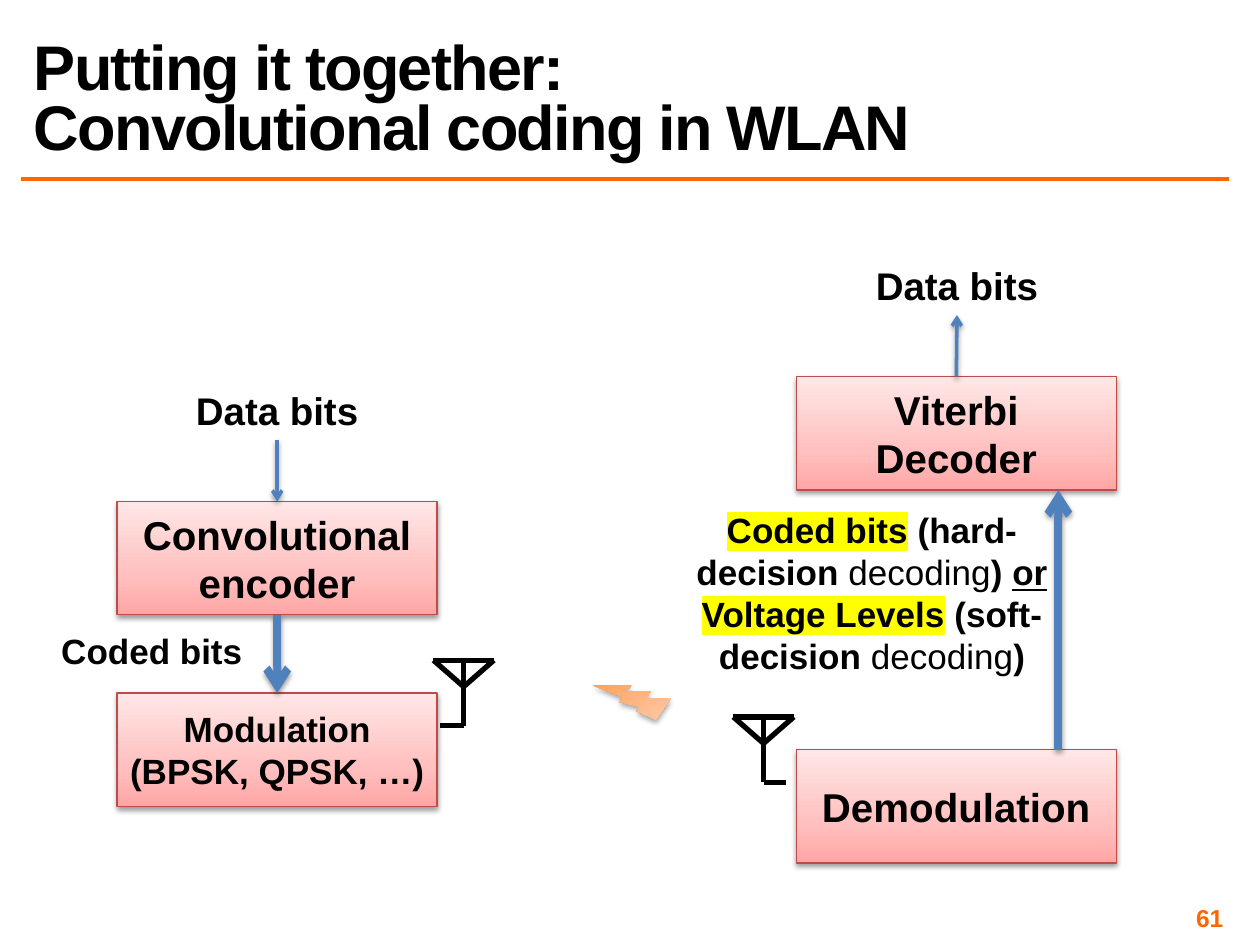
from dataclasses import dataclass

from lxml import etree
from pptx import Presentation, util as u
from pptx.dml.color import RGBColor
from pptx.enum import shapes, text
from pptx.oxml.ns import qn

COLORS = {"ink": "000000", "accent": "FF6600", "arrow": "4F81BD",
          "border": "BF4C48", "marker": "FFFF00"}
PINK = [(0, "FFA6A5"), (35, "FFC0BF"), (100, "FFE7E7")]
ORANGE = [(0, "FF953E"), (100, "FFD2BD")]
FONT = "Arial"
COLS, ROWS = 100, 75  # square grid over the slide
BOX_W, BOX_H = 25.4, 9
TX_X, RX_X = 9.3, 63.2  # left edges of the sender and receiver stacks
TOP, BOTTOM = 0, 2  # connection sites of a rectangle

prs = Presentation()
prs.slide_width, prs.slide_height = u.Inches(10), u.Inches(7.5)
slide = prs.slides.add_slide(prs.slide_layouts[6])


@dataclass
class Box:
    label: str
    x: float
    y: float
    size: float = 23


@dataclass
class Run:
    text: str
    bold: bool = True
    underline: bool = False
    marked: bool = False


def col(n: float) -> int:
    return round(prs.slide_width * n / COLS)


def row(n: float) -> int:
    return round(prs.slide_height * n / ROWS)


def rgb(name: str) -> RGBColor:
    return RGBColor.from_string(COLORS[name])


def add_color(parent, hex_value: str):
    return etree.SubElement(parent, qn("a:srgbClr"), val=hex_value)


def set_shadow(spPr, alpha=None, dist=1.6) -> None:
    """Give the shape a soft shadow below, or none if alpha is None."""
    for old in spPr.findall(qn("a:effectLst")):
        spPr.remove(old)
    effects = etree.SubElement(spPr, qn("a:effectLst"))
    if alpha:
        shadow = etree.SubElement(
            effects, qn("a:outerShdw"), blurRad=str(u.Pt(3.1)),
            dist=str(u.Pt(dist)), dir="5400000", rotWithShape="0")
        color = add_color(shadow, COLORS["ink"])
        etree.SubElement(color, qn("a:alpha"), val=str(alpha * 1000))


def set_gradient(sp, stops) -> None:
    sp.fill.gradient()
    sp.fill.gradient_angle = 90
    stop_list = sp._element.spPr.find(qn("a:gradFill")).find(qn("a:gsLst"))
    for old in list(stop_list):
        stop_list.remove(old)
    for pos, hex_value in stops:
        add_color(etree.SubElement(stop_list, qn("a:gs"), pos=str(pos * 1000)), hex_value)


def write(sp, paragraphs, size=20, color="ink", align="CENTER", anchor="MIDDLE",
          wrap=True, inset=None, line_spacing=None, spacing=None) -> None:
    """Fill sp with paragraphs, each a string or a list of Run."""
    tf = sp.text_frame
    tf.word_wrap = wrap
    tf.vertical_anchor = getattr(text.MSO_ANCHOR, anchor)
    if inset is not None:
        tf.margin_left = tf.margin_right = col(inset)
        tf.margin_top = tf.margin_bottom = row(inset)
    for i, content in enumerate(paragraphs):
        p = tf.add_paragraph() if i else tf.paragraphs[0]
        p.alignment = getattr(text.PP_ALIGN, align)
        if line_spacing:
            p.line_spacing = line_spacing
        breaks = isinstance(content, str)
        runs = [Run(line) for line in content.split("\n")] if breaks else content
        for j, part in enumerate(runs):
            if breaks and j:
                p.add_line_break()
            r = p.add_run()
            r.text = part.text
            r.font.size, r.font.bold = u.Pt(size), part.bold
            r.font.underline = part.underline
            r.font.color.rgb = rgb(color)
            rPr = r.font._element
            if part.marked:
                add_color(etree.SubElement(rPr, qn("a:highlight")), COLORS["marker"])
            r.font.name = FONT
            if spacing:
                rPr.set("spc", str(spacing * 100))


def add_text(x: float, y: float, w: float, h: float, paragraphs, **fmt):
    tb = slide.shapes.add_textbox(col(x), row(y), col(w), row(h))
    write(tb, paragraphs, **fmt)
    return tb


def add_box(box: Box):
    sp = slide.shapes.add_shape(shapes.MSO_SHAPE.RECTANGLE, col(box.x), row(box.y),
                                col(BOX_W), row(BOX_H))
    set_gradient(sp, PINK)
    sp.line.color.rgb, sp.line.width = rgb("border"), u.Pt(0.75)
    set_shadow(sp._element.spPr, 38)
    write(sp, [box.label], size=box.size)
    return sp


def add_line(start=(0, 0), end=(0, 0), color="ink", width=3.0, arrow=False):
    cn = slide.shapes.add_connector(shapes.MSO_CONNECTOR.STRAIGHT, col(start[0]),
                                    row(start[1]), col(end[0]), row(end[1]))
    cn.line.color.rgb, cn.line.width = rgb(color), u.Pt(width)
    if arrow:
        etree.SubElement(cn.line._get_or_add_ln(), qn("a:tailEnd"), type="arrow")
    set_shadow(cn._element.spPr, 38 if arrow else None)
    return cn


def add_flow(source, target, going_up=False, width=2.0) -> None:
    """Arrow between the facing sides of two stacked objects."""
    cn = add_line(color="arrow", width=width, arrow=True)
    cn.begin_connect(source, TOP if going_up else BOTTOM)
    cn.end_connect(target, BOTTOM if going_up else TOP)


def add_antenna(x: float, y: float, foot: float) -> None:
    """Antenna with its mast top at x, y; foot is the signed foot length."""
    half, drop, mast = 2.4, 2.1, 5.2
    left, right, joint = (x - half, y), (x + half, y), (x, y + drop)
    base = (x, y + mast)
    for start, end in [((x, y), base), (left, right), (right, joint),
                       (left, joint), (base, (x + foot, y + mast))]:
        add_line(start, end)


# Title, rule and slide number
add_line((1.7, 14.2), (97.5, 14.2), color="accent", width=2)
add_text(1.7, 1.7, 95.8, 11.7, ["Putting it together:\nConvolutional coding in WLAN"],
         size=36, align="LEFT", anchor="BOTTOM", line_spacing=0.8, spacing=-1)
add_text(74.2, 71.7, 23.3, 2.3, ["61"], size=14, color="accent", align="RIGHT", inset=0.4)

# Sender
add_antenna(36.8, 52.4, -1.9)
data_in = add_text(TX_X, 30.2, BOX_W, 4.7, ["Data bits"], size=22)
encoder = add_box(Box("Convolutional encoder", TX_X, 39.8))
modulation = add_box(Box("Modulation (BPSK, QPSK, …)", TX_X, 55, size=20))
add_flow(data_in, encoder)
add_flow(encoder, modulation, width=4.5)
add_text(3.8, 49.4, 16.5, 4.4, ["Coded bits"], wrap=False)

# Radio channel
bolt = slide.shapes.add_shape(shapes.MSO_SHAPE.LIGHTNING_BOLT, col(48), row(52.9),
                              col(4.8), row(4.8))
bolt.rotation = 150
set_gradient(bolt, ORANGE)
bolt.line.fill.background()
set_shadow(bolt._element.spPr, 35, dist=1.8)

# Receiver
add_antenna(60.6, 56.9, 1.8)
add_box(Box("Demodulation", RX_X, 59.5))
data_out = add_text(64.9, 20.3, 22.1, 4.7, ["Data bits"], size=22)
decoder = add_box(Box("Viterbi Decoder", RX_X, 29.9))
add_line((84, 59.5), (84, 38.9), color="arrow", width=4.5, arrow=True)
add_text(52.5, 39.8, 33.4, 14.5, [
    [Run("Coded bits", marked=True), Run(" (hard-decision "), Run("decoding", bold=False),
     Run(") "), Run("or", underline=True)],
    [Run("Voltage Levels", marked=True), Run(" (soft-decision "),
     Run("decoding", bold=False), Run(")")],
])
add_flow(decoder, data_out, going_up=True)

prs.save("out.pptx")
